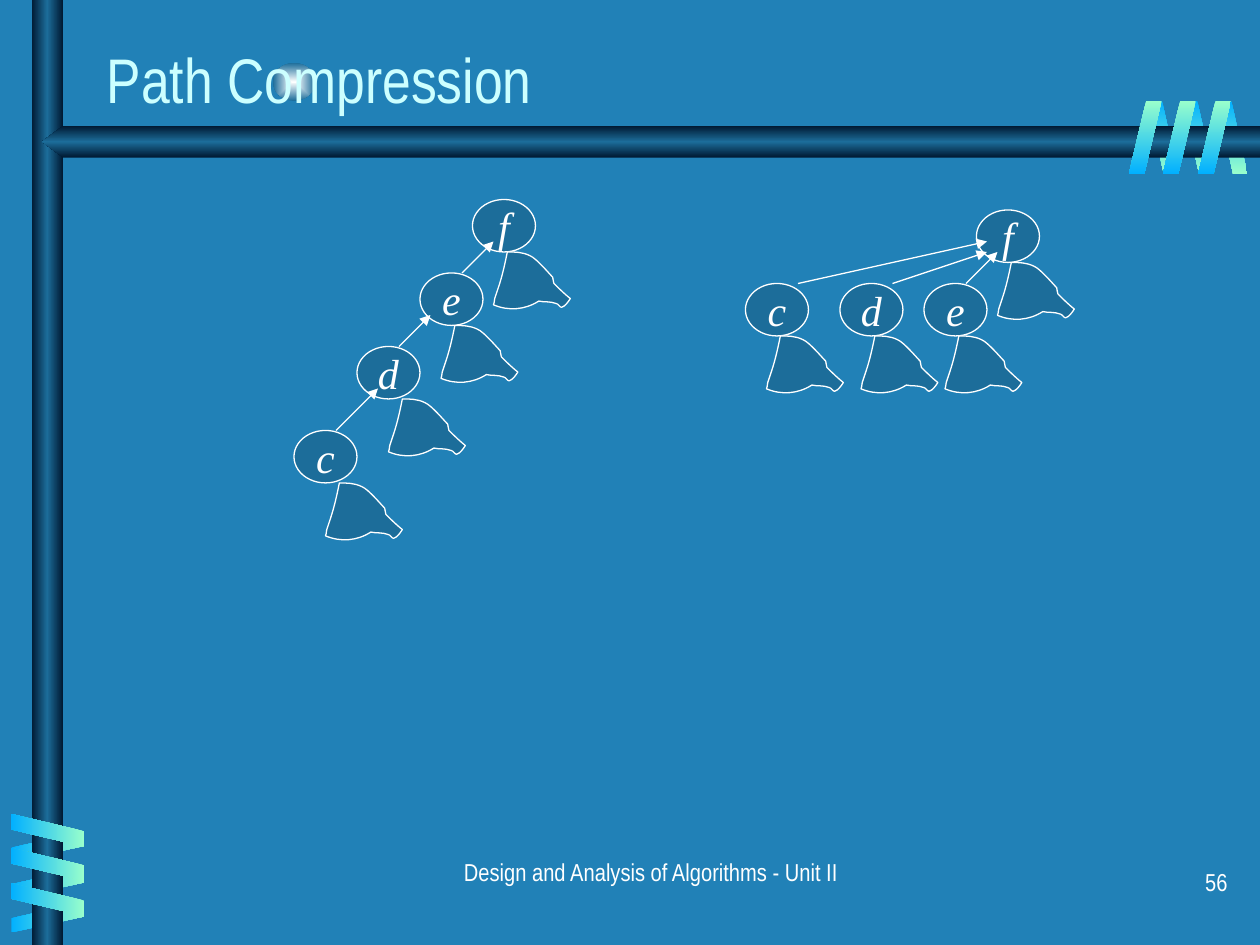
from lxml import etree
from pptx import Presentation
from pptx import util as u
from pptx.dml.color import RGBColor
from pptx.enum import shapes, text
from pptx.oxml.ns import qn

COLORS = {"sky": "2181B7", "node": "1C6D9A", "navy": "001932", "glow": "FEFFFF",
          "mint": "99FFCC", "azure": "01B0FF", "title": "CCFFFF", "ink": "FFFFFF"}
COLUMNS, ROWS = 120, 90
CELL = u.Inches(10) / COLUMNS
ROD = ((0, "navy"), (50, "node"), (100, "navy"))
BACK_COIL = ((0, "azure"), (100, "mint"))
FRONT_COIL = ((0, "mint"), (100, "azure"))
TREE_START, TREE_HEIGHT = (11, 0), 47
TREE_CURVES = (
    ((9, 10), (7, 19), (4, 28)), ((3, 31), (2, 34), (1, 37)),
    ((1, 39), (0, 42), (0, 42)), ((12, 47), (25, 46), (36, 39)),
    ((40, 40), (45, 39), (50, 41)), ((51, 41), (53, 44), (54, 44)),
    ((57, 43), (59, 40), (61, 37)), ((56, 33), (52, 29), (48, 25)),
    ((47, 24), (48, 22), (47, 20)), ((44, 17), (34, 5), (29, 3)),
    ((23, 0), (17, 0), (11, 0)))


def rgb(name):
    """Return the named colour."""
    return RGBColor.from_string(COLORS[name])


def grid(*cells):
    """Turn grid columns and rows into lengths."""
    return [u.Emu(round(cell * CELL)) for cell in cells]


def paint_gradient(shape, stops, angle=None):
    """Fill with a linear gradient, or a centred rectangular one without an angle."""
    shape.shadow.inherit = False
    shape.line.fill.background()
    shape.fill.gradient()
    gradient = shape._element.spPr.find(qn("a:gradFill"))
    gradient.set("rotWithShape", "0")
    for child in list(gradient):
        gradient.remove(child)
    stop_list = etree.SubElement(gradient, qn("a:gsLst"))
    for position, name in stops:
        stop = etree.SubElement(stop_list, qn("a:gs"), pos=str(position * 1000))
        etree.SubElement(stop, qn("a:srgbClr"), val=COLORS[name])
    if angle is None:
        center = etree.SubElement(gradient, qn("a:path"), path="rect")
        etree.SubElement(center, qn("a:fillToRect"), l="50000", t="50000", r="50000", b="50000")
    else:
        etree.SubElement(gradient, qn("a:lin"), ang=str(angle * 60000), scaled="0")


def paint_node(shape):
    """Give a tree part its flat fill and thin outline."""
    shape.shadow.inherit = False
    shape.fill.solid()
    shape.fill.fore_color.rgb = rgb("node")
    shape.line.color.rgb = rgb("ink")
    shape.line.width = u.Pt(0.75)


def write(shape, words, size, font, color, align=text.PP_ALIGN.LEFT, before=0, italic=False):
    """Put one formatted paragraph into a shape."""
    shape.text_frame.text = words
    paragraph = shape.text_frame.paragraphs[0]
    paragraph.alignment = align
    paragraph.space_before = u.Pt(before)
    face = paragraph.runs[0].font
    face.size, face.name, face.italic = u.Pt(size), font, italic
    face.color.rgb = rgb(color)


def add_coil(slide, boxes, stops, angle, rotation=0, flipped=False):
    """Draw the slanted bands of one side of a coil, with boxes in inches."""
    for box in boxes:
        band = slide.shapes.add_shape(shapes.MSO_SHAPE.PARALLELOGRAM, *map(u.Inches, box))
        band.adjustments[0] = 0.53
        band.rotation = rotation
        if flipped:
            band._element.spPr.find(qn("a:xfrm")).set("flipH", "1")
        paint_gradient(band, stops, angle)


def add_frame(slide):
    """Draw the glow, the two rods and the coils wound around them."""
    glow = slide.shapes.add_shape(shapes.MSO_SHAPE.OVAL, *grid(26, 6, 4, 3.6))
    paint_gradient(glow, ((0, "glow"), (100, "node")))
    add_coil(slide, [(x, 0.8, 0.24, 0.58) for x in (9.66, 9.39, 9.11)], BACK_COIL, 90, 180, True)
    add_coil(slide, [(0.26, y, 0.24, 0.58) for y in (6.43, 6.72, 6.99)], BACK_COIL, 180, 90, True)
    upright = slide.shapes.add_shape(shapes.MSO_SHAPE.RECTANGLE, *grid(3, 0, 3, ROWS))
    paint_gradient(upright, ROD, 180)
    outline = slide.shapes.build_freeform(*grid(COLUMNS, 12))
    outline.add_line_segments(
        [grid(*point) for point in ((6, 12), (4, 13.5), (6, 15), (COLUMNS, 15))])
    paint_gradient(outline.convert_to_shape(), ROD, 90)
    add_coil(slide, [(0.25, y, 0.26, 0.58) for y in (6.3, 6.57, 6.85)], FRONT_COIL, 180, 270)
    add_coil(slide, [(x, 0.8, 0.26, 0.58) for x in (9.51, 9.23, 8.96)], FRONT_COIL, 90)


def add_subtree(slide, left, top):
    """Draw the curved subtree with its corner at the given column and row."""
    hundredth = u.Inches(0.01)
    outline = slide.shapes.build_freeform(*TREE_START, scale=float(hundredth))
    outline.add_line_segments([curve[-1] for curve in TREE_CURVES])
    subtree = outline.convert_to_shape(*grid(left, top))
    subtree.height = TREE_HEIGHT * hundredth
    contour = next(subtree._element.iter(qn("a:path")))
    contour.set("h", str(TREE_HEIGHT))
    for side, curve in zip(contour.findall(qn("a:lnTo")), TREE_CURVES):
        bend = etree.Element(qn("a:cubicBezTo"))
        for x, y in curve:
            etree.SubElement(bend, qn("a:pt"), x=str(x), y=str(y))
        contour.replace(side, bend)
    paint_node(subtree)


def add_forest(slide, left, top, nodes, links):
    """Draw labelled nodes, their subtrees and parent arrows from a grid corner."""
    for label, column, row, shift in nodes:
        node = slide.shapes.add_shape(
            shapes.MSO_SHAPE.OVAL, *grid(left + column, top + row, 6, 5))
        paint_node(node)
        write(node, label, 24, "Times New Roman", "ink", text.PP_ALIGN.CENTER, italic=True)
        node.text_frame.word_wrap = False
        node.text_frame.vertical_anchor = text.MSO_ANCHOR.MIDDLE
    for x1, y1, x2, y2 in links:
        link = slide.shapes.add_connector(
            shapes.MSO_CONNECTOR.STRAIGHT, *grid(left + x1, top + y1, left + x2, top + y2))
        link.line.color.rgb = rgb("ink")
        link.line.width = u.Pt(0.75)
        etree.SubElement(link.line._get_or_add_ln(), qn("a:tailEnd"), type="triangle")
        etree.SubElement(link._element.spPr, qn("a:effectLst"))
    for label, column, row, shift in nodes:
        add_subtree(slide, left + column + shift, top + row + 5)


def add_caption(slide, box, words, size, color, align, before=0):
    """Place a line of slide text in a grid box."""
    caption = slide.shapes.add_textbox(*grid(*box))
    caption.text_frame.word_wrap = True
    write(caption, words, size, "Arial Narrow", color, align, before)
    return caption


def main():
    """Build and save the slide."""
    deck = Presentation()
    deck.slide_width, deck.slide_height = grid(COLUMNS, ROWS)
    slide = deck.slides.add_slide(deck.slide_layouts[6])
    slide.background.fill.solid()
    slide.background.fill.fore_color.rgb = rgb("sky")
    add_frame(slide)
    title = add_caption(slide, (9, 0, 102, 15), "Path Compression", 36, "title",
                        text.PP_ALIGN.LEFT)
    title.text_frame.vertical_anchor = text.MSO_ANCHOR.MIDDLE
    add_forest(slide, 28, 19,
               (("f", 17, 0, 2), ("e", 12, 7, 2), ("d", 6, 14, 3), ("c", 0, 22, 3)),
               ((16, 7, 19, 4), (10, 14, 13, 11), (4, 22, 8, 18)))
    add_forest(slide, 71, 20,
               (("f", 22, 0, 2), ("e", 17, 7, 2), ("d", 9, 7, 2), ("c", 0, 7, 2)),
               ((21, 7, 24, 4), (14, 7, 23, 4), (5, 7, 23, 3)))
    add_caption(slide, (20, 81, 84, 6), "Design and Analysis of Algorithms - Unit II", 14,
                "ink", text.PP_ALIGN.CENTER, 8.8)
    add_caption(slide, (93.1, 82, 25, 6), "56", 14, "ink", text.PP_ALIGN.RIGHT, 8.8)
    deck.save("out.pptx")


if __name__ == "__main__":
    main()
